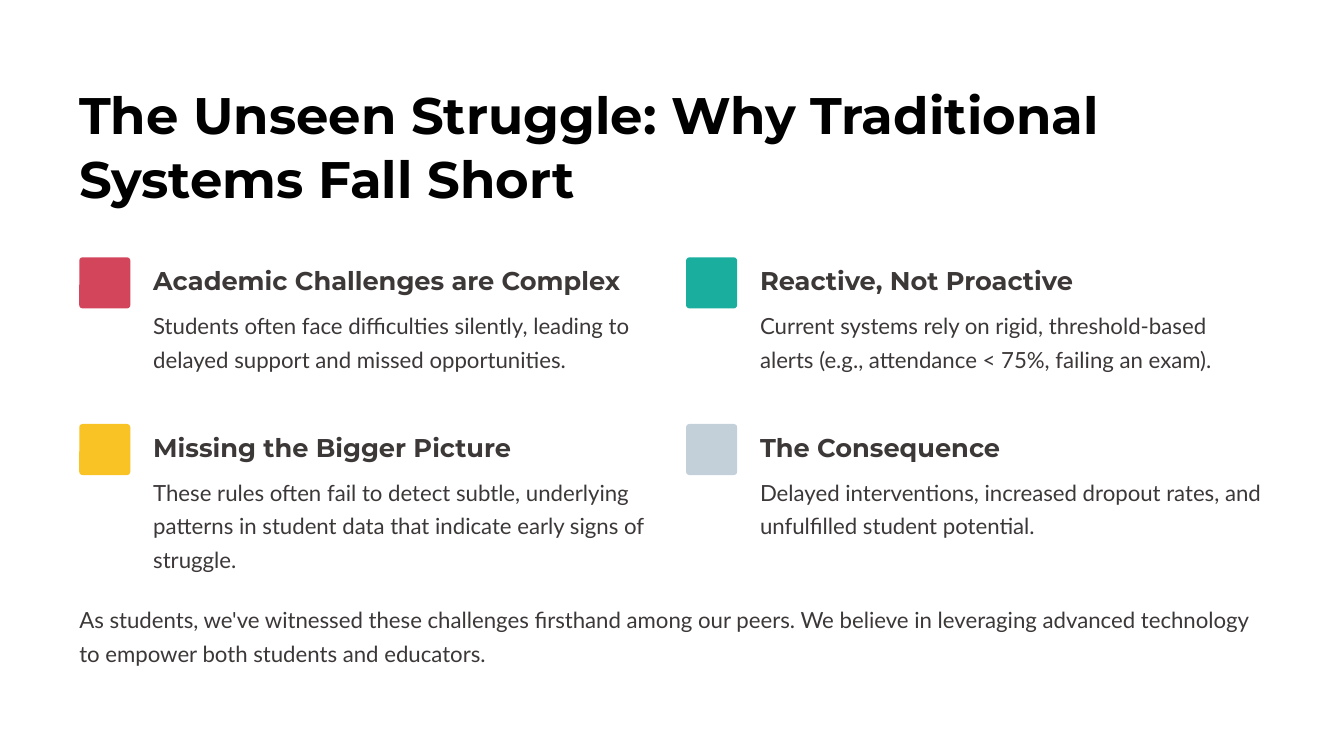
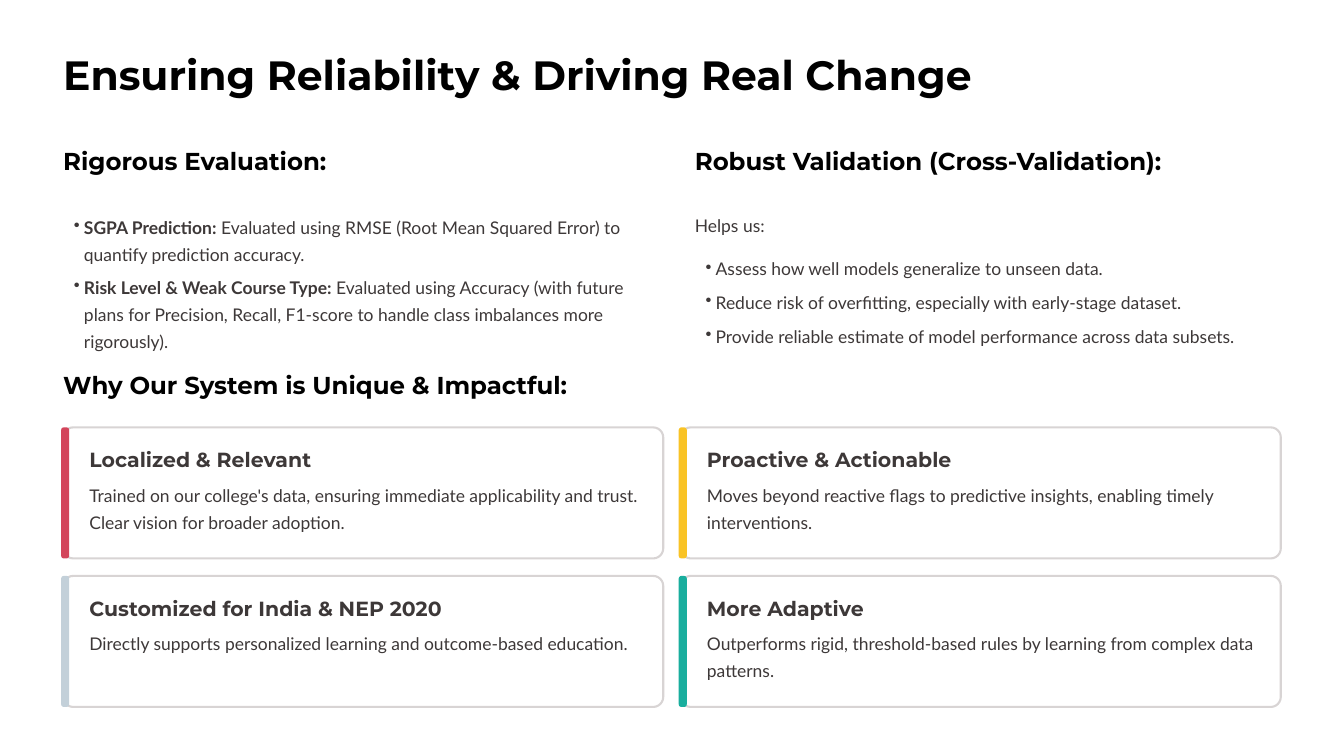
from collections import namedtuple
from dataclasses import dataclass

from lxml.etree import SubElement
from pptx import Presentation
from pptx.dml.color import RGBColor
from pptx.enum.shapes import MSO_SHAPE
from pptx.oxml.ns import qn
from pptx.util import Pt

PX = 9144  # one px in EMU: 100 px to the inch

Style = namedtuple("Style", "font size leading color bold")


@dataclass(frozen=True)
class Theme:
    white: str = "FFFFFF"
    border: str = "D8D4D4"
    red: str = "D3455B"
    teal: str = "19AE9E"
    yellow: str = "F9C325"
    mist: str = "C3D0D9"
    title: Style = Style("Montserrat", 55, 68.8, "000000", True)
    title_small: Style = Style("Montserrat", 43.8, 54.4, "000000", True)
    section: Style = Style("Montserrat", 26.2, 32.5, "000000", True)
    point_head: Style = Style("Montserrat", 27.5, 34.4, "3D3838", True)
    point_body: Style = Style("Lato", 23.8, 36.2, "3D3838", False)
    card_head: Style = Style("Montserrat", 21.9, 26.9, "3D3838", True)
    card_body: Style = Style("Lato", 18.7, 28.7, "3D3838", False)


theme = Theme()


def add_text(slide, x, y, w, h, style, text, lead="", bullet=False):
    """Text in one style; lead is a bold opening, bullet hangs the paragraph."""
    frame = slide.shapes.add_textbox(x * PX, y * PX, w * PX, h * PX).text_frame
    frame.word_wrap = True
    frame.margin_left = frame.margin_right = frame.margin_top = frame.margin_bottom = 0
    paragraph = frame.paragraphs[0]
    paragraph.line_spacing = Pt(style.leading)
    if bullet:
        paragraph.level = 1
        properties = paragraph._p.get_or_add_pPr()
        properties.set("marL", str(31 * PX))
        properties.set("indent", str(-15 * PX))
        SubElement(properties, qn("a:buChar"), char="•")
    for words, bold in ((lead, True), (text, style.bold)):
        if words:
            run = paragraph.add_run()
            run.text = words
            run.font.name = style.font
            run.font.size = Pt(style.size)
            run.font.bold = bold
            run.font.color.rgb = RGBColor.from_string(style.color)


def add_block(slide, x, y, w, h, radius, fill, border=None):
    """Rounded rectangle with a corner radius in px."""
    block = slide.shapes.add_shape(MSO_SHAPE.ROUNDED_RECTANGLE, x * PX, y * PX, w * PX, h * PX)
    block.adjustments[0] = radius / min(w, h)
    block.shadow.inherit = False
    block.fill.solid()
    block.fill.fore_color.rgb = RGBColor.from_string(fill)
    if border:
        block.line.color.rgb = RGBColor.from_string(border)
        block.line.width = Pt(2.25)
    else:
        block.line.fill.background()


prs = Presentation()
prs.slide_width = 2000 * PX
prs.slide_height = 1125 * PX
struggle, impact = (prs.slides.add_slide(prs.slide_layouts[6]) for _ in range(2))
for slide in (struggle, impact):
    slide.background.fill.solid()
    slide.background.fill.fore_color.rgb = RGBColor.from_string(theme.white)

# Slide 1: title
add_text(struggle, 118, 120, 1764, 195, theme.title,
         "The Unseen Struggle: Why Traditional Systems Fall Short")

# Slide 1: four problems in a two by two grid
problems = [
    (theme.red, "Academic Challenges are Complex",
     "Students often face difficulties silently, leading to delayed support and missed opportunities."),
    (theme.teal, "Reactive, Not Proactive",
     "Current systems rely on rigid, threshold-based alerts (e.g., attendance < 75%, failing an exam)."),
    (theme.yellow, "Missing the Bigger Picture",
     "These rules often fail to detect subtle, underlying patterns in student data "
     "that indicate early signs of struggle."),
    (theme.mist, "The Consequence",
     "Delayed interventions, increased dropout rates, and unfulfilled student potential."),
]
for i, (color, heading, body) in enumerate(problems):
    x = 118 + i % 2 * 903
    y = 383 + i // 2 * 248
    add_block(struggle, x, y, 76, 76, 5, color)
    add_text(struggle, x + 110, y + 9, 751, 50, theme.point_head, heading)
    add_text(struggle, x + 110, y + 71, 751, 110, theme.point_body, body)

# Slide 1: closing statement
add_text(struggle, 118, 892, 1764, 110, theme.point_body,
         "As students, we've witnessed these challenges firsthand among our peers. We believe in "
         "leveraging advanced technology to empower both students and educators.")

# Slide 2: title and section headings
add_text(impact, 94, 72, 1800, 78, theme.title_small, "Ensuring Reliability & Driving Real Change")
sections = [
    (94, 216, "Rigorous Evaluation:"),
    (1034, 216, "Robust Validation (Cross-Validation):"),
    (94, 549, "Why Our System is Unique & Impactful:"),
]
for x, y, heading in sections:
    add_text(impact, x, y, 800, 47, theme.section, heading)

# Slide 2: evaluation
evaluations = [
    (314, 87, "SGPA Prediction:",
     " Evaluated using RMSE (Root Mean Squared Error) to quantify prediction accuracy."),
    (404, 127, "Risk Level & Weak Course Type:",
     " Evaluated using Accuracy (with future plans for Precision, Recall, F1-score "
     "to handle class imbalances more rigorously)."),
]
for y, height, target, measure in evaluations:
    add_text(impact, 94, y, 873, height, theme.card_body, measure, lead=target, bullet=True)

# Slide 2: validation
add_text(impact, 1034, 311, 873, 46, theme.card_body, "Helps us:")
benefits = [
    "Assess how well models generalize to unseen data.",
    "Reduce risk of overfitting, especially with early-stage dataset.",
    "Provide reliable estimate of model performance across data subsets.",
]
for i, benefit in enumerate(benefits):
    add_text(impact, 1034, 376 + i * 50, 873, 46, theme.card_body, benefit, bullet=True)

# Slide 2: four strengths as cards with a coloured edge
strengths = [
    (theme.red, "Localized & Relevant",
     "Trained on our college's data, ensuring immediate applicability and trust. "
     "Clear vision for broader adoption."),
    (theme.yellow, "Proactive & Actionable",
     "Moves beyond reactive flags to predictive insights, enabling timely interventions."),
    (theme.mist, "Customized for India & NEP 2020",
     "Directly supports personalized learning and outcome-based education."),
    (theme.teal, "More Adaptive",
     "Outperforms rigid, threshold-based rules by learning from complex data patterns."),
]
for i, (color, heading, body) in enumerate(strengths):
    x = 94 + i % 2 * 919
    y = 636 + i // 2 * 221
    add_block(impact, x, y, 893, 195, 15, theme.white, theme.border)
    add_block(impact, x - 3, y, 12, 195, 4, color)
    add_text(impact, x + 39, y + 29, 824, 38, theme.card_head, heading)
    add_text(impact, x + 39, y + 77, 824, 87, theme.card_body, body)

prs.save("out.pptx")
